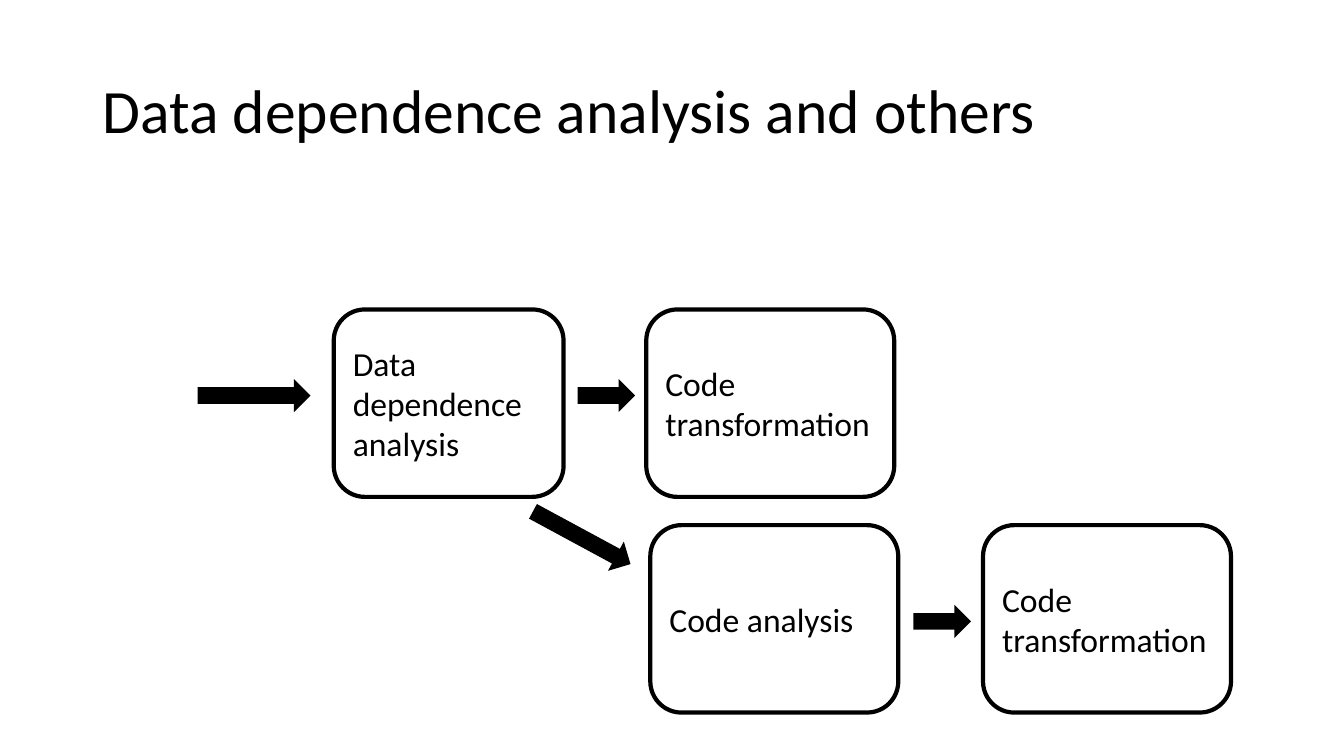
"""Build a slide that shows where data dependence analysis leads."""
from pptx import Presentation
from pptx.dml.color import RGBColor
from pptx.enum.shapes import MSO_SHAPE
from pptx.enum.text import MSO_ANCHOR, PP_ALIGN
from pptx.util import Inches, Pt

INK = "000000"
TOP, LOW = 3.07, 5.21
TALL, WIDE = 1.86, 2.46
THICK, SHORT = 0.33, 0.57


def color(part, code):
    part.rgb = RGBColor.from_string(code)


def write(shape, text, size):
    frame = shape.text_frame
    frame.word_wrap = True
    frame.vertical_anchor = MSO_ANCHOR.MIDDLE
    line = frame.paragraphs[0]
    line.text = text
    line.alignment = PP_ALIGN.LEFT
    line.font.name = "Calibri"
    line.font.size = Pt(size)
    color(line.font.color, INK)
    return line


deck = Presentation()
deck.slide_width, deck.slide_height = Inches(13.33), Inches(7.5)
slide = deck.slides.add_slide(deck.slide_layouts[6])
shapes = slide.shapes

title = shapes.add_textbox(*map(Inches, (0.92, 0.4, 11.5, 1.45)))
write(title, "Data dependence analysis and others", 44).line_spacing = 0.9

boxes = [
    ("Data dependence analysis", 3.31, TOP, 2.28),
    ("Code transformation", 6.41, TOP, WIDE),
    ("Code analysis", 6.45, LOW, WIDE),
    ("Code transformation", 9.75, LOW, WIDE),
]
for text, left, top, width in boxes:
    box = shapes.add_shape(MSO_SHAPE.ROUNDED_RECTANGLE,
                           *map(Inches, (left, top, width, TALL)))
    box.shadow.inherit = False
    box.fill.background()
    color(box.line.color, INK)
    box.line.width = Pt(3)
    write(box, text, 24)

arrows = [
    (1.96, 3.76, 1.12, 0),
    (5.73, 3.76, SHORT, 0),
    (5.22, 5.17, 1.1, 28.4),
    (9.06, 6, SHORT, 0),
]
for left, top, width, turn in arrows:
    arrow = shapes.add_shape(MSO_SHAPE.RIGHT_ARROW,
                             *map(Inches, (left, top, width, THICK)))
    arrow.shadow.inherit = False
    arrow.rotation = turn
    arrow.fill.solid()
    color(arrow.fill.fore_color, INK)
    arrow.line.fill.background()

deck.save("out.pptx")
